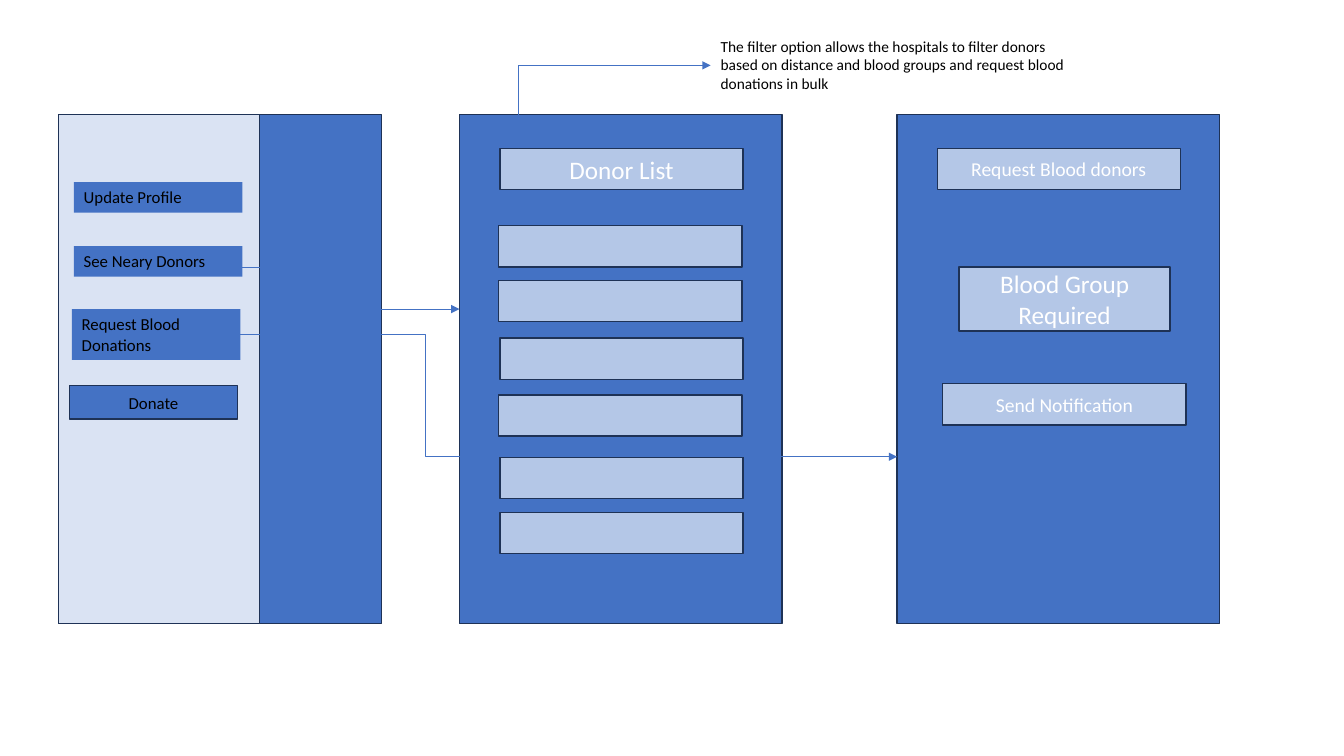
"""Build a slide of blood donation app screens and the flow between them."""
from lxml.etree import SubElement
from pptx import Presentation
from pptx.dml.color import RGBColor
from pptx.enum.shapes import MSO_CONNECTOR, MSO_SHAPE
from pptx.enum.text import MSO_ANCHOR, MSO_AUTO_SIZE, PP_ALIGN
from pptx.oxml.ns import qn
from pptx.util import Cm, Pt

COLORS = {"panel": "4472C4", "menu": "DAE3F3", "field": "B4C7E7",
          "outline": "1E3256", "dark": "000000", "light": "FFFFFF"}
FONT = "Calibri"

SCREEN_TOP, SCREEN_WIDTH, SCREEN_HEIGHT = 2.89, 8.13, 12.83
MENU_SCREEN, LIST_SCREEN, REQUEST_SCREEN = 1.48, 11.58, 22.61
MENU_WIDTH = 5.06
FIELD_WIDTH, FIELD_HEIGHT = 6.13, 1.04
HEADER_TOP = 3.74

MENU_LINKS = [
    ("Update Profile", (1.86, 4.59, 4.25, 0.77)),
    ("See Neary Donors", (1.86, 6.2, 4.25, 0.77)),
    ("Request Blood Donations", (1.81, 7.79, 4.25, 1.28)),
]
DONATE_BUTTON = ("Donate", (1.76, 9.72, 4.22, 0.84))
DONOR_ROWS = [(12.57, 5.69), (12.57, 7.07), (12.6, 8.52),
              (12.57, 9.95), (12.6, 11.52), (12.6, 12.91)]
FIELDS = [
    ("Donor List", 18, (12.6, HEADER_TOP, FIELD_WIDTH, FIELD_HEIGHT)),
    ("Request Blood donors", 14, (23.62, HEADER_TOP, FIELD_WIDTH, FIELD_HEIGHT)),
    ("Blood Group Required", 18, (24.17, 6.73, 5.32, 1.61)),
    ("Send Notification", 14, (23.76, 9.67, FIELD_WIDTH, FIELD_HEIGHT)),
]
NOTE = ("The filter option allows the hospitals to filter donors based on "
        "distance and blood groups and request blood donations in bulk")
NOTE_AREA = (17.91, 0.81, 9.37, 1.68)
FLOWS = [
    ((6.1, 6.73), (LIST_SCREEN, 7.79), 0.5),
    ((6.02, 8.43), (REQUEST_SCREEN, 11.51), 0.284),
    ((13.06, HEADER_TOP), (17.91, 1.65), 0),
]


def color(name):
    return RGBColor.from_string(COLORS[name])


def write(box, text, size, ink, centred):
    frame = box.text_frame
    frame.word_wrap = True
    frame.text = text
    if centred:
        frame.vertical_anchor = MSO_ANCHOR.MIDDLE
    else:
        frame.vertical_anchor = MSO_ANCHOR.TOP
        frame.auto_size = MSO_AUTO_SIZE.SHAPE_TO_FIT_TEXT
    para = frame.paragraphs[0]
    para.alignment = PP_ALIGN.CENTER if centred else PP_ALIGN.LEFT
    for span in para.runs:
        span.font.name = FONT
        span.font.size = Pt(size)
        span.font.color.rgb = color(ink)


def add_box(page, area, fill, outlined=True):
    box = page.shapes.add_shape(MSO_SHAPE.RECTANGLE, *map(Cm, area))
    box.shadow.inherit = False
    box.fill.solid()
    box.fill.fore_color.rgb = color(fill)
    if outlined:
        box.line.color.rgb = color("outline")
        box.line.width = Pt(1)
    else:
        box.line.fill.background()
    return box


def add_flow(page, start, end, bend):
    flow = page.shapes.add_connector(MSO_CONNECTOR.ELBOW, *map(Cm, start + end))
    flow.line.color.rgb = color("panel")
    flow.line.width = Pt(0.5)
    properties = flow._element.spPr
    SubElement(properties.find(qn("a:ln")), qn("a:tailEnd"), type="triangle")
    SubElement(properties, qn("a:effectLst"))
    guides = properties.find(qn("a:prstGeom")).get_or_add_avLst()
    SubElement(guides, qn("a:gd"), name="adj1", fmla=f"val {round(bend * 100000)}")


def main():
    deck = Presentation()
    deck.slide_width, deck.slide_height = Cm(33.87), Cm(19.05)
    page = deck.slides.add_slide(deck.slide_layouts.get_by_name("Blank"))

    for left in (MENU_SCREEN, LIST_SCREEN, REQUEST_SCREEN):
        add_box(page, (left, SCREEN_TOP, SCREEN_WIDTH, SCREEN_HEIGHT), "panel")
    add_box(page, (MENU_SCREEN, SCREEN_TOP, MENU_WIDTH, SCREEN_HEIGHT), "menu")

    for text, area in MENU_LINKS:
        write(add_box(page, area, "panel", outlined=False), text, 12, "dark", False)
    text, area = DONATE_BUTTON
    write(add_box(page, area, "panel"), text, 12, "dark", True)

    for left, top in DONOR_ROWS:
        add_box(page, (left, top, FIELD_WIDTH, FIELD_HEIGHT), "field")
    for text, size, area in FIELDS:
        write(add_box(page, area, "field"), text, size, "light", True)

    write(page.shapes.add_textbox(*map(Cm, NOTE_AREA)), NOTE, 11, "dark", False)
    for start, end, bend in FLOWS:
        add_flow(page, start, end, bend)

    deck.save("out.pptx")


if __name__ == "__main__":
    main()
